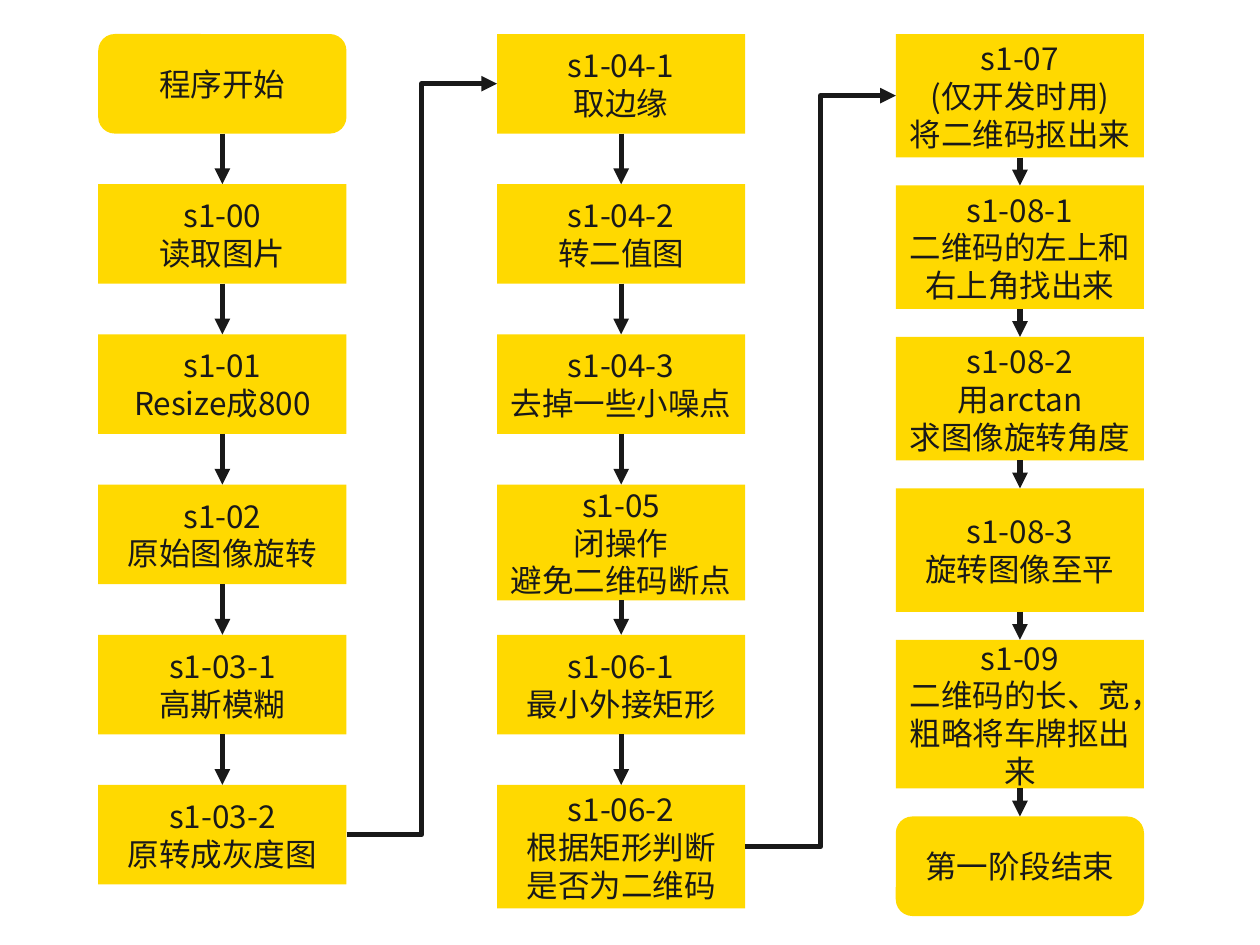
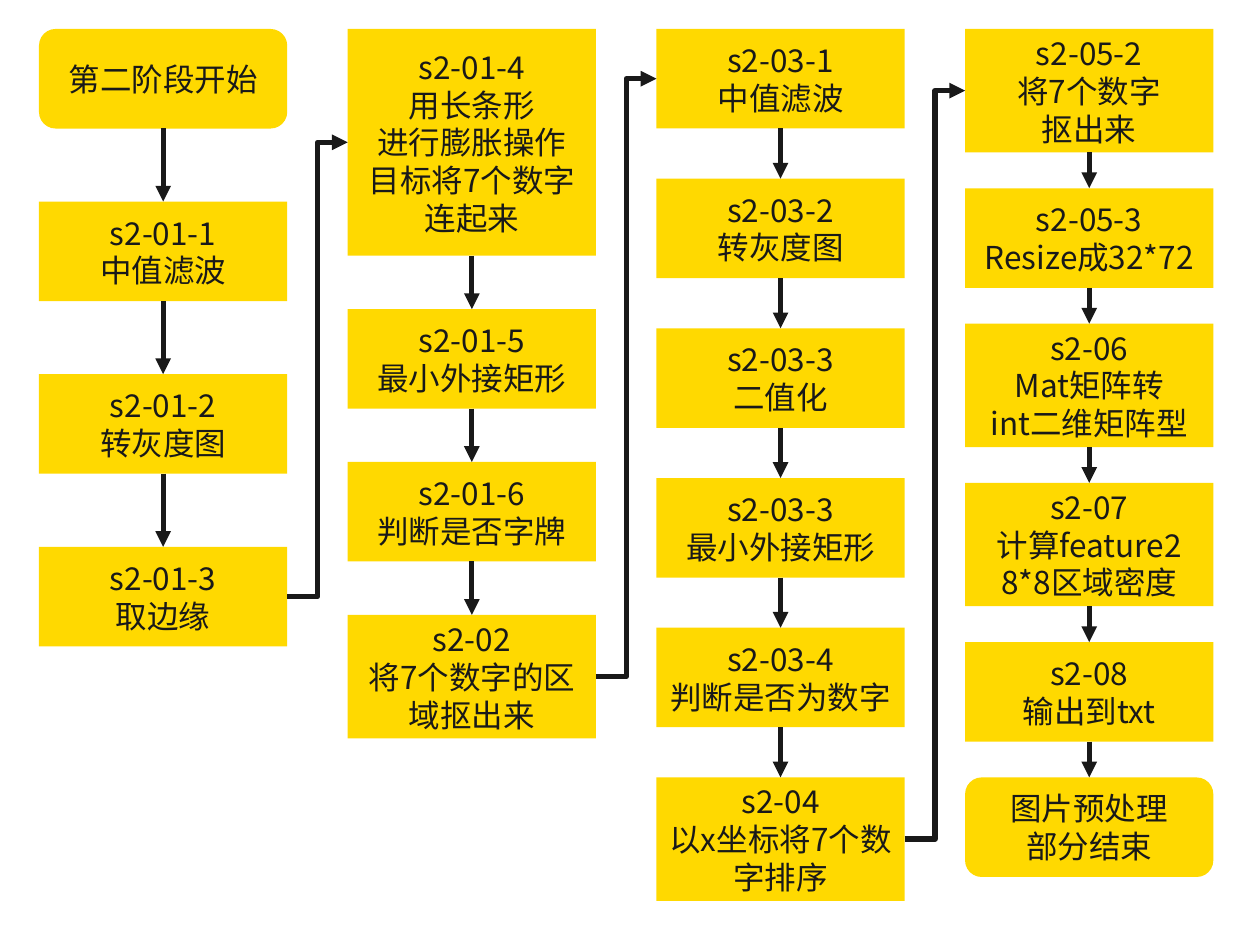
"""Build two flowchart slides on preparing plate images."""
from dataclasses import dataclass
from itertools import pairwise

from lxml.etree import SubElement
from pptx import Presentation
from pptx.dml.color import RGBColor as RGB
from pptx.enum.shapes import MSO_CONNECTOR as LINK, MSO_SHAPE as SHAPE
from pptx.enum.text import MSO_ANCHOR as ANCHOR, PP_ALIGN as ALIGN
from pptx.oxml.ns import qn
from pptx.util import Inches, Pt


@dataclass(frozen=True)
class Theme:
    """Colours, type and line sizes."""
    box: RGB = RGB(0xFF, 0xD9, 0x00)
    ink: RGB = RGB(0x19, 0x19, 0x19)
    font: str = "Noto Sans CJK SC"
    size: int = 18
    line: int = 3


@dataclass(frozen=True)
class Step:
    """One box: its lines, height, the height it takes in the column, and form."""
    text: str
    high: float = 0.79
    slot: float = 0
    form: SHAPE = SHAPE.RECTANGLE


@dataclass(frozen=True)
class Chart:
    """One slide: where its grid starts, the column pitch, and (last top, steps) columns."""
    left: float
    top: float
    pitch: float
    cols: list


THEME = Theme()
WIDE = 1.97
TALL = 0.98
ROUND = SHAPE.ROUNDED_RECTANGLE

CHARTS = [
    Chart(0.78, 0.27, 3.165, [
        (6.23, [
            Step("程序开始", form=ROUND),
            Step("s1-00\n读取图片"),
            Step("s1-01\nResize成800"),
            Step("s1-02\n原始图像旋转"),
            Step("s1-03-1\n高斯模糊"),
            Step("s1-03-2\n原转成灰度图"),
        ]),
        (6.23, [
            Step("s1-04-1\n取边缘"),
            Step("s1-04-2\n转二值图"),
            Step("s1-04-3\n去掉一些小噪点"),
            Step("s1-05\n闭操作\n避免二维码断点", 0.92, slot=0.79),
            Step("s1-06-1\n最小外接矩形"),
            Step("s1-06-2\n根据矩形判断\n是否为二维码", TALL),
        ]),
        (6.48, [
            Step("s1-07\n(仅开发时用)\n将二维码抠出来", TALL),
            Step("s1-08-1\n二维码的左上和右上角找出来", TALL),
            Step("s1-08-2\n用arctan\n求图像旋转角度", TALL),
            Step("s1-08-3\n旋转图像至平", TALL),
            Step("s1-09\n二维码的长、宽，粗略将车牌抠出来", 1.18),
            Step("第一阶段结束", form=ROUND),
        ]),
    ]),
    Chart(0.31, 0.23, 2.45, [
        (4.34, [
            Step("第二阶段开始", form=ROUND),
            Step("s2-01-1\n中值滤波"),
            Step("s2-01-2\n转灰度图"),
            Step("s2-01-3\n取边缘"),
        ]),
        (4.88, [
            Step("s2-01-4\n用长条形\n进行膨胀操作\n目标将7个数字连起来", 1.8),
            Step("s2-01-5\n最小外接矩形"),
            Step("s2-01-6\n判断是否字牌"),
            Step("s2-02\n将7个数字的区域抠出来", TALL),
        ]),
        (6.17, [
            Step("s2-03-1\n中值滤波"),
            Step("s2-03-2\n转灰度图"),
            Step("s2-03-3\n二值化"),
            Step("s2-03-3\n最小外接矩形"),
            Step("s2-03-4\n判断是否为数字"),
            Step("s2-04\n以x坐标将7个数字排序", TALL),
        ]),
        (6.17, [
            Step("s2-05-2\n将7个数字\n抠出来", TALL),
            Step("s2-05-3\nResize成32*72"),
            Step("s2-06\nMat矩阵转\nint二维矩阵型", TALL),
            Step("s2-07\n计算feature2\n8*8区域密度", TALL),
            Step("s2-08\n输出到txt"),
            Step("图片预处理\n部分结束", form=ROUND),
        ]),
    ]),
]


def write(frame, text, size=THEME.size, color=THEME.ink, align=ALIGN.CENTER):
    """Fill a text frame, one paragraph per line."""
    frame.word_wrap = True
    frame.vertical_anchor = ANCHOR.MIDDLE
    frame.text = text
    for para in frame.paragraphs:
        para.alignment = align
        for run in para.runs:
            run.font.size = Pt(size)
            run.font.name = THEME.font
            run.font.color.rgb = color
            SubElement(run.font._element, qn("a:ea"), typeface=THEME.font)


def add_box(slide, step, left, top):
    """Draw one step."""
    box = slide.shapes.add_shape(
        step.form, Inches(left), Inches(top), Inches(WIDE), Inches(step.high))
    box.shadow.inherit = False
    box.fill.solid()
    box.fill.fore_color.rgb = THEME.box
    box.line.fill.background()
    write(box.text_frame, step.text)
    return box


def add_arrow(slide, kind, start, out, end, into):
    """Join two boxes at the given connection sites."""
    link = slide.shapes.add_connector(kind, 0, 0, 0, 0)
    link.begin_connect(start, out)
    link.end_connect(end, into)
    link.line.color.rgb = THEME.ink
    link.line.width = Pt(THEME.line)
    SubElement(link.line._get_or_add_ln(), qn("a:tailEnd"), type="triangle")
    SubElement(link._element.spPr, qn("a:effectLst"))


def add_col(slide, steps, left, top, last):
    """Stack steps with equal gaps so that the final one starts at last."""
    slots = [step.slot or step.high for step in steps]
    gap = (last - top - sum(slots[:-1])) / (len(steps) - 1)
    boxes = []
    for step, slot in zip(steps, slots):
        boxes.append(add_box(slide, step, left, top))
        top += slot + gap
    for upper, lower in pairwise(boxes):
        add_arrow(slide, LINK.STRAIGHT, upper, 2, lower, 0)
    return boxes


def add_chart(deck, chart):
    """Draw one slide of columns, each leading to the next."""
    slide = deck.slides.add_slide(deck.slide_layouts[6])
    cols = [add_col(slide, steps, chart.left + i * chart.pitch, chart.top, last)
            for i, (last, steps) in enumerate(chart.cols)]
    for here, there in pairwise(cols):
        add_arrow(slide, LINK.ELBOW, here[-1], 3, there[0], 1)


def main():
    """Build and save the deck."""
    deck = Presentation()
    deck.slide_width, deck.slide_height = Inches(10), Inches(7.5)
    for chart in CHARTS:
        add_chart(deck, chart)
    deck.save("out.pptx")


if __name__ == "__main__":
    main()
